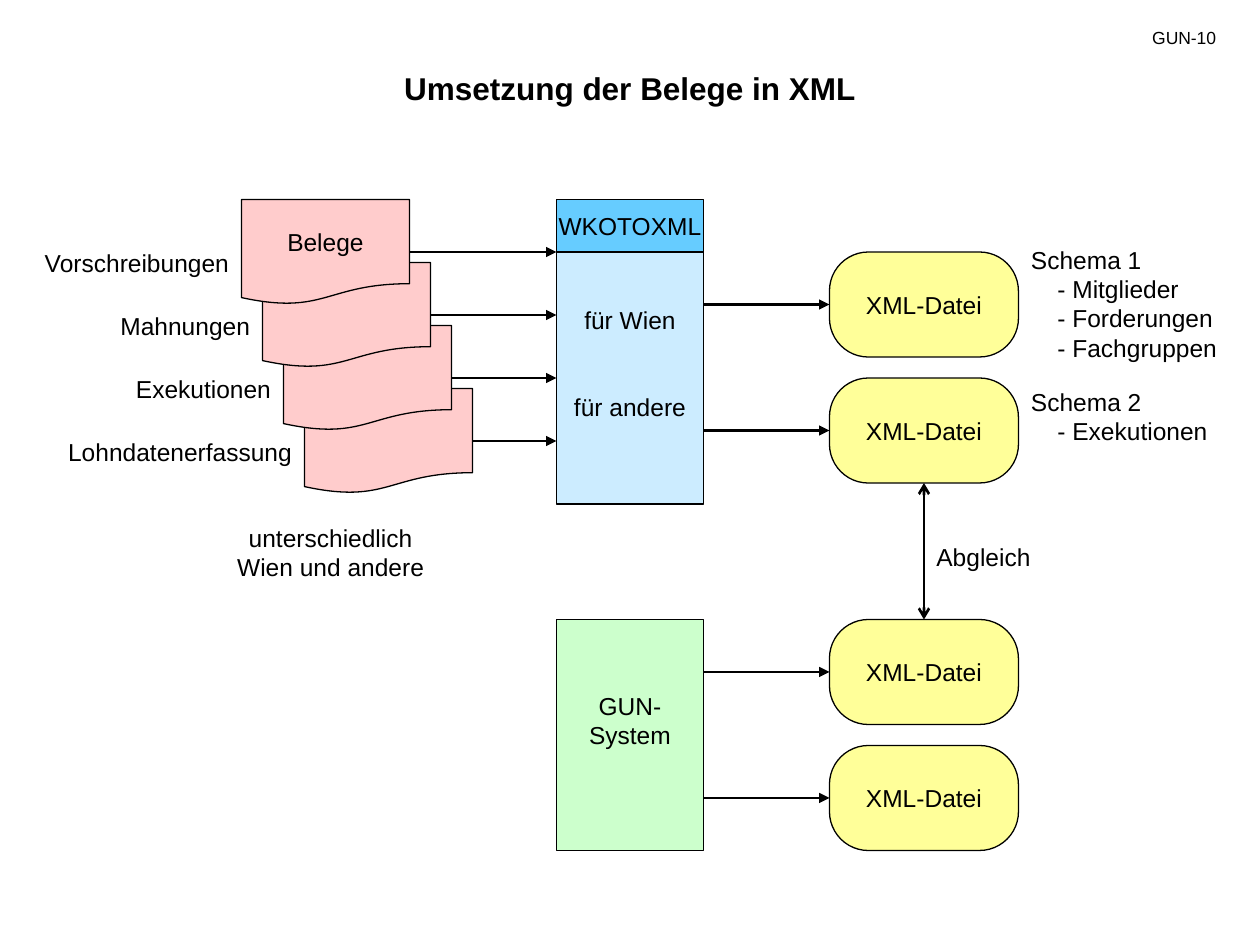
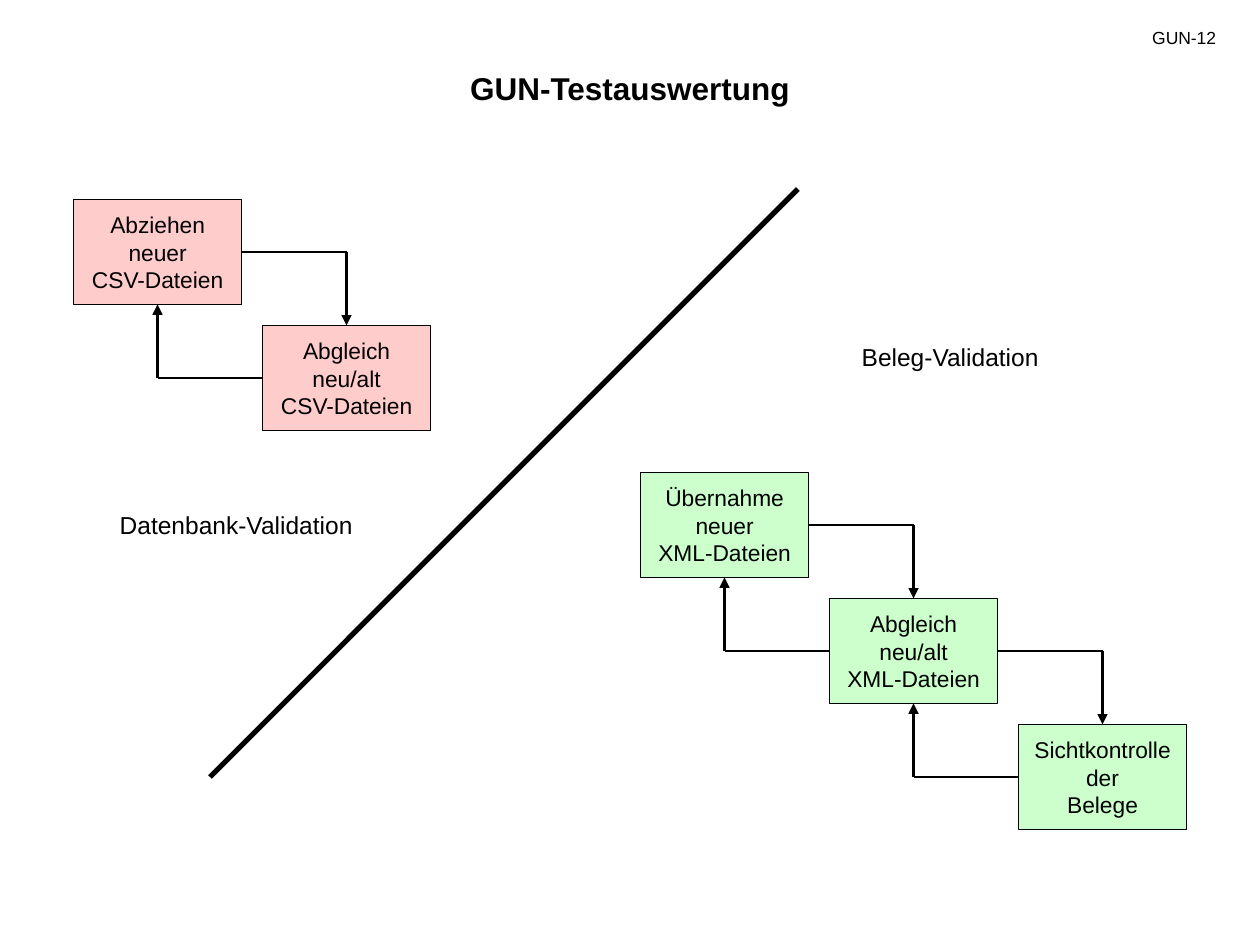
import pptx
import pptx.util
import pptx.dml.color
import pptx.enum.shapes
import pptx.enum.text
from lxml import etree

SHAPE = pptx.enum.shapes.MSO_SHAPE
ALIGN = pptx.enum.text.PP_ALIGN
ANCHOR = pptx.enum.text.MSO_ANCHOR
A = "http://schemas.openxmlformats.org/drawingml/2006/main"

THEME = {
    "font": "Arial", "ink": "000000",
    "red": "FFCCCC", "yellow": "FFFF99", "green": "CCFFCC",
    "blue": "CCECFF", "deep_blue": "66CCFF",
    "title": 18, "body": 14, "step": 13, "number": 10,
    "outline": 0.75, "arrow": 1.5, "divider": 3,
}

# Content: places and sizes are counted in grid units of 1/12 inch
TITLES = [("Umsetzung der Belege in XML", "GUN-10"),
          ("GUN-Testauswertung", "GUN-12")]

# label, label width
DOCUMENTS = [("Vorschreibungen", 21), ("Mahnungen", 21),
             ("Exekutionen", 21), ("Lohndatenerfassung", 26)]
DOCUMENT_NOTE = ["unterschiedlich", "Wien und andere"]
XML_TOPS = [24, 36, 59, 71]
# top, height, heading, entries
SCHEMAS = [(22.7, 12.5, "Schema 1", ["- Mitglieder", "- Forderungen", "- Fachgruppen"]),
           (36.25, 6.8, "Schema 2", ["- Exekutionen"])]

# left, top, colour, steps
LOOPS = [
    (7, 19, "red", [["Abziehen", "neuer", "CSV-Dateien"],
                    ["Abgleich", "neu/alt", "CSV-Dateien"]]),
    (61, 45, "green", [["Übernahme", "neuer", "XML-Dateien"],
                       ["Abgleich", "neu/alt", "XML-Dateien"],
                       ["Sichtkontrolle", "der", "Belege"]]),
]
# text, left, top
LOOP_NAMES = [("Datenbank-Validation", 8, 48), ("Beleg-Validation", 76, 32)]

BOX_W, BOX_H = 16, 10
STEP_X, STEP_Y = 18, 12


def grid(n):
    return pptx.util.Inches(n / 12)


def rgb(name):
    return pptx.dml.color.RGBColor.from_string(THEME[name])


def write(tf, lines, size, align, bold=False):
    for i, line in enumerate(lines):
        p = tf.paragraphs[0] if i == 0 else tf.add_paragraph()
        p.text = line
        p.alignment = align
        p.font.name = THEME["font"]
        p.font.size = pptx.util.Pt(THEME[size])
        p.font.bold = bold
        p.font.color.rgb = rgb("ink")


def add_text(s, x, y, w, h, lines, size="body", align=ALIGN.LEFT, bold=False):
    tf = s.shapes.add_textbox(grid(x), grid(y), grid(w), grid(h)).text_frame
    tf.word_wrap = True
    write(tf, lines, size, align, bold)
    return tf


def add_box(s, kind, x, y, w, h, fill, lines=(), size="body"):
    sp = s.shapes.add_shape(kind, grid(x), grid(y), grid(w), grid(h))
    sp.shadow.inherit = False
    sp.fill.solid()
    sp.fill.fore_color.rgb = rgb(fill)
    sp.line.color.rgb = rgb("ink")
    sp.line.width = pptx.util.Pt(THEME["outline"])
    sp.text_frame.word_wrap = False
    sp.text_frame.vertical_anchor = ANCHOR.MIDDLE
    write(sp.text_frame, lines, size, ALIGN.CENTER)
    return sp


def add_line(s, x1, y1, x2, y2, width="arrow", head=None, tail=None):
    cn = s.shapes.add_connector(pptx.enum.shapes.MSO_CONNECTOR.STRAIGHT,
                                grid(x1), grid(y1), grid(x2), grid(y2))
    cn.line.color.rgb = rgb("ink")
    cn.line.width = pptx.util.Pt(THEME[width])
    ln = cn.line._get_or_add_ln()
    for tag, end in (("headEnd", head), ("tailEnd", tail)):
        if end:
            etree.SubElement(ln, f"{{{A}}}{tag}", type=end)
    etree.SubElement(cn._element.spPr, f"{{{A}}}effectLst")


def add_slide(prs, title, number):
    s = prs.slides.add_slide(prs.slide_layouts[6])
    add_text(s, 24, 6, 72, 4.8, [title], "title", ALIGN.CENTER, True)
    add_text(s, 107, 2, 10, 3.2, [number], "number", ALIGN.RIGHT)
    return s


def leave_line_below(sp):
    sp.text_frame.margin_bottom = pptx.util.Inches(0.28)


def build_conversion(s):
    # Stack of documents, front one last
    for i, (label, width) in reversed(list(enumerate(DOCUMENTS))):
        x, y = 23 + 2 * i, 19 + 6 * i
        add_box(s, SHAPE.FLOWCHART_DOCUMENT, x, y, BOX_W, BOX_H, "red",
                ["Belege"] if i == 0 else [])
        add_line(s, x + BOX_W, y + 5, 53, y + 5, tail="triangle")
        add_text(s, x - width, y + 4, width, 4, [label], align=ALIGN.RIGHT)
    add_text(s, 20, 49.2, 23, 6.8, DOCUMENT_NOTE, align=ALIGN.CENTER)

    # Converter and GUN system
    converter = add_box(s, SHAPE.RECTANGLE, 53, 24, 14, 24, "blue",
                        ["für Wien", "für andere"])
    converter.text_frame.paragraphs[1].space_before = pptx.util.Pt(33)
    leave_line_below(converter)
    add_box(s, SHAPE.RECTANGLE, 53, 19, 14, 5, "deep_blue", ["WKOTOXML"])
    system = add_box(s, SHAPE.RECTANGLE, 53, 59, 14, 22, "green", ["GUN-", "System"])
    leave_line_below(system)

    # XML files
    for y in XML_TOPS:
        sp = add_box(s, SHAPE.ROUNDED_RECTANGLE, 79, y, 18, 10, "yellow", ["XML-Datei"])
        sp.adjustments[0] = 0.37
        add_line(s, 67, y + 5, 79, y + 5, tail="triangle")
    add_line(s, 88, 46, 88, 59, head="arrow", tail="arrow")
    add_text(s, 88, 51, 25, 4, ["Abgleich"])

    # Schemas with indented entries
    for y, h, heading, entries in SCHEMAS:
        tf = add_text(s, 97, y, 21, h, [heading] + entries)
        for p in tf.paragraphs[1:]:
            p._p.get_or_add_pPr().set("marL", str(pptx.util.Inches(0.21)))


def build_evaluation(s):
    add_line(s, 20, 74, 76, 18, "divider")
    for left, top, fill, steps in LOOPS:
        for i, lines in enumerate(steps):
            x, y = left + i * STEP_X, top + i * STEP_Y
            add_box(s, SHAPE.RECTANGLE, x, y, BOX_W, BOX_H, fill, lines, "step")
            if i == len(steps) - 1:
                continue
            # Forward to the next step and back again
            mid, next_mid = x + BOX_W / 2, x + STEP_X + BOX_W / 2
            row, next_row = y + BOX_H / 2, y + STEP_Y + BOX_H / 2
            add_line(s, x + BOX_W, row, next_mid, row)
            add_line(s, next_mid, row, next_mid, y + STEP_Y, tail="triangle")
            add_line(s, x + STEP_X, next_row, mid, next_row)
            add_line(s, mid, next_row, mid, y + BOX_H, tail="triangle")
    for name, x, y in LOOP_NAMES:
        add_text(s, x, y, 29, 4, [name], align=ALIGN.CENTER)


def main():
    prs = pptx.Presentation()
    prs.slide_width = pptx.util.Inches(10)
    prs.slide_height = pptx.util.Inches(7.5)
    for (title, number), build in zip(TITLES, (build_conversion, build_evaluation)):
        build(add_slide(prs, title, number))
    prs.save("out.pptx")


if __name__ == "__main__":
    main()
